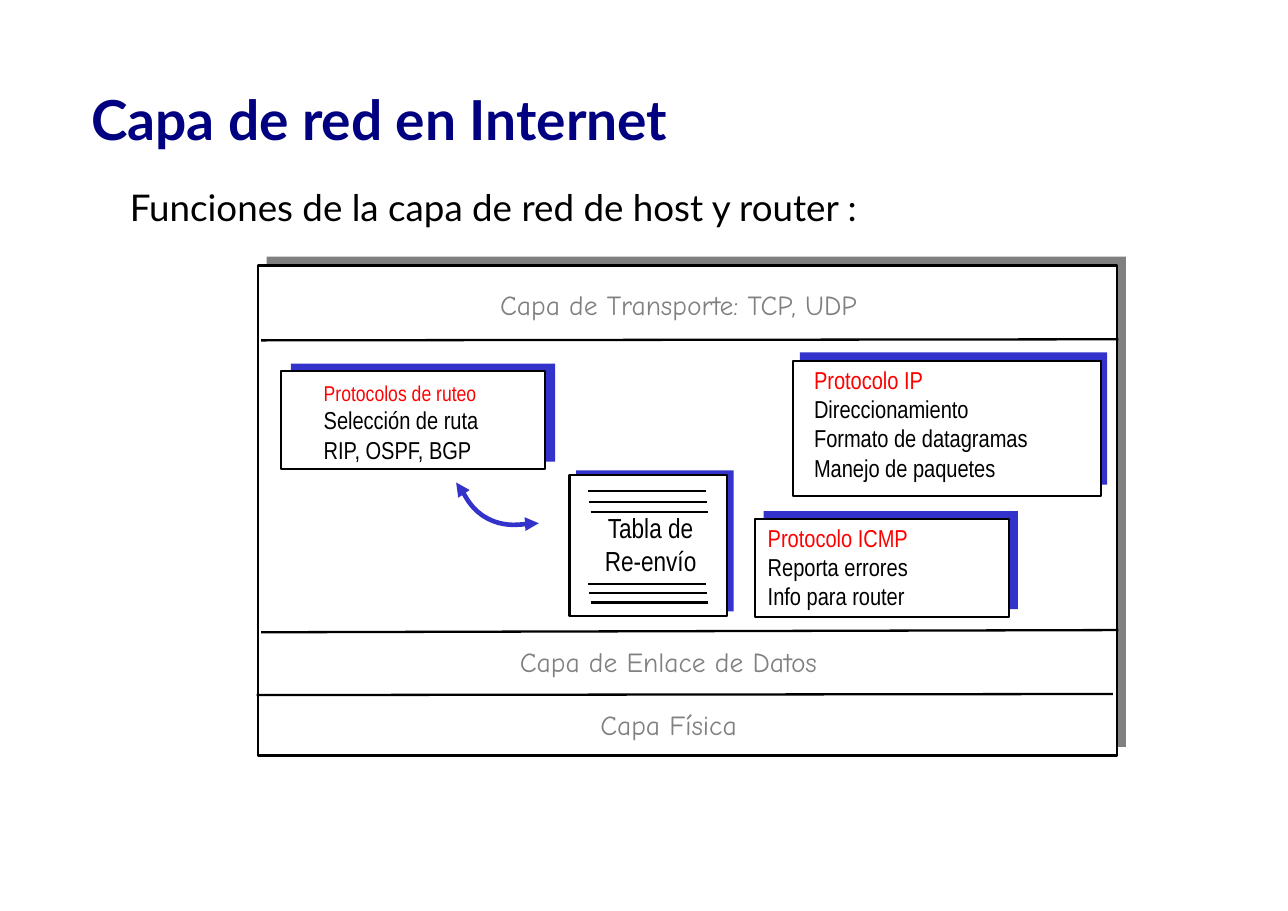
from lxml import etree
from pptx import Presentation
from pptx import util as u
from pptx.dml.color import RGBColor
from pptx.enum import shapes, text
from pptx.oxml.ns import qn

BLACK = RGBColor(0, 0, 0)
WHITE = RGBColor(255, 255, 255)
GRAY = RGBColor(128, 128, 128)
NAVY = RGBColor(0, 0, 128)
BLUE = RGBColor(51, 51, 204)
RED = RGBColor(255, 0, 0)
NARROW, COMIC, LATO = "Arial Narrow", "Comic Neue", "Lato"

# Each card: shadow frame, front frame, text frame, lines as (text, size, colour)
PROTOCOL_CARDS = [
    ((2.64, 3.3, 2.4, 0.89), (2.55, 3.37, 2.4, 0.89), (2.84, 3.41, 1.93, 0.84),
     [("Protocolos de ruteo", 14, RED), ("Selección de ruta", 16, BLACK),
      ("RIP, OSPF, BGP", 16, BLACK)]),
    ((7.26, 3.2, 2.79, 1.2), (7.2, 3.28, 2.79, 1.22), (7.29, 3.28, 2.61, 1.13),
     [("Protocolo IP", 16, RED), ("Direccionamiento", 16, BLACK),
      ("Formato de datagramas", 16, BLACK), ("Manejo de paquetes", 16, BLACK)]),
    ((6.93, 4.64, 2.31, 0.89), (6.85, 4.71, 2.31, 0.89), (6.87, 4.71, 2.27, 0.87),
     [("Protocolo ICMP", 16, RED), ("Reporta errores", 16, BLACK),
      ("Info para router", 16, BLACK)]),
]
LAYER_LABELS = [
    ("Capa de Transporte: TCP, UDP", (4.44, 2.57, 3.48, 0.39)),
    ("Capa de Enlace de Datos", (4.62, 5.81, 2.9, 0.39)),
    ("Capa Física", (5.35, 6.38, 1.44, 0.39)),
]
LAYER_DIVIDERS = [
    (2.37, 3.09, 10.15, 3.08),
    (2.37, 5.74, 10.15, 5.72),
    (2.33, 6.31, 10.1, 6.3),
]
ROUTE_CURVE = [
    ((4.14, 4.38), (4.2, 4.41), (4.22, 4.6), (4.43, 4.71)),
    ((4.43, 4.71), (4.63, 4.81), (4.79, 4.74), (4.89, 4.75)),
]


def inches(values):
    return [u.Inches(value) for value in values]


def add_panel(parent, frame, fill, outlined=False):
    panel = parent.add_shape(shapes.MSO_SHAPE.RECTANGLE, *inches(frame))
    panel.shadow.inherit = False
    panel.fill.solid()
    panel.fill.fore_color.rgb = fill
    if outlined:
        panel.line.color.rgb = BLACK
        panel.line.width = u.Pt(1.5)
    else:
        panel.line.fill.background()


def add_shadowed_panel(parent, shadow_frame, frame, shadow):
    add_panel(parent, shadow_frame, shadow)
    add_panel(parent, frame, WHITE, outlined=True)


def add_text(parent, frame, lines, font, align=text.PP_ALIGN.LEFT, bold=False):
    """Write one paragraph for each (wording, size, colour) in lines."""
    box = parent.add_textbox(*inches(frame)).text_frame
    box.word_wrap = False
    box.vertical_anchor = text.MSO_ANCHOR.MIDDLE
    for index, (wording, size, color) in enumerate(lines):
        para = box.add_paragraph() if index else box.paragraphs[0]
        para.alignment = align
        span = para.add_run()
        span.text = wording
        span.font.color.rgb = color
        for name, value in {"name": font, "size": u.Pt(size), "bold": bold}.items():
            setattr(span.font, name, value)


def add_line(parent, ends):
    line = parent.add_connector(shapes.MSO_CONNECTOR.STRAIGHT, *inches(ends))
    line.line.color.rgb = BLACK
    line.line.width = u.Pt(1.5)
    etree.SubElement(line._element.spPr, qn("a:effectLst"))


def bezier_point(points, t):
    weights = ((1 - t) ** 3, 3 * t * (1 - t) ** 2, 3 * t ** 2 * (1 - t), t ** 3)
    return tuple(u.Inches(sum(w * point[axis] for w, point in zip(weights, points)))
                 for axis in (0, 1))


def add_double_arrow(parent, curve, steps=12):
    """Draw joined cubic curves as one smooth line with a head at each end."""
    start = bezier_point(curve[0], 0)
    builder = parent.build_freeform(*start)
    builder.add_line_segments(
        [bezier_point(piece, step / steps)
         for piece in curve for step in range(1, steps + 1)], close=False)
    arrow = builder.convert_to_shape()
    arrow.shadow.inherit = False
    arrow.fill.background()
    arrow.line.color.rgb = BLUE
    arrow.line.width = u.Pt(3)
    outline = arrow.line._get_or_add_ln()
    etree.SubElement(outline, qn("a:round"))
    for end in ("a:headEnd", "a:tailEnd"):
        etree.SubElement(outline, qn(end), type="triangle")


def add_forwarding_table(parent):
    group = parent.add_group_shape().shapes
    add_shadowed_panel(group, (5.23, 4.27, 1.43, 1.28), (5.17, 4.31, 1.43, 1.28), BLUE)
    add_text(group, (5.31, 4.6, 1.19, 0.68),
             [("Tabla de", 18, BLACK), ("Re-envío", 18, BLACK)],
             NARROW, text.PP_ALIGN.CENTER)
    for top, gap in ((4.46, 0.095), (5.3, 0.085)):
        for row in range(3):
            left, y = 5.34 + row * 0.01, top + row * gap
            add_line(group, (left, y, left + 1.07, y))


def add_protocol_card(parent, shadow_frame, frame, text_frame, lines):
    group = parent.add_group_shape().shapes
    add_shadowed_panel(group, shadow_frame, frame, BLUE)
    add_text(group, text_frame, lines, NARROW)


def main():
    deck = Presentation()
    deck.slide_width, deck.slide_height = inches((11.69, 8.27))
    canvas = deck.slides.add_slide(deck.slide_layouts[6]).shapes

    add_shadowed_panel(canvas, (2.42, 2.33, 7.8, 4.45), (2.34, 2.41, 7.8, 4.45), GRAY)
    add_text(canvas, (0.73, 0.4, 10.57, 1.35),
             [("Capa de red en Internet", 36, NAVY)], LATO, bold=True)
    add_text(canvas, (1.08, 1.63, 8.99, 0.5),
             [("Funciones de la capa de red de host y router :", 24, BLACK)], LATO)
    add_forwarding_table(canvas)
    for card in PROTOCOL_CARDS:
        add_protocol_card(canvas, *card)
    add_double_arrow(canvas, ROUTE_CURVE)
    for ends in LAYER_DIVIDERS:
        add_line(canvas, ends)
    for label, frame in LAYER_LABELS:
        add_text(canvas, frame, [(label, 18, GRAY)], COMIC)
    deck.save("out.pptx")


if __name__ == "__main__":
    main()
